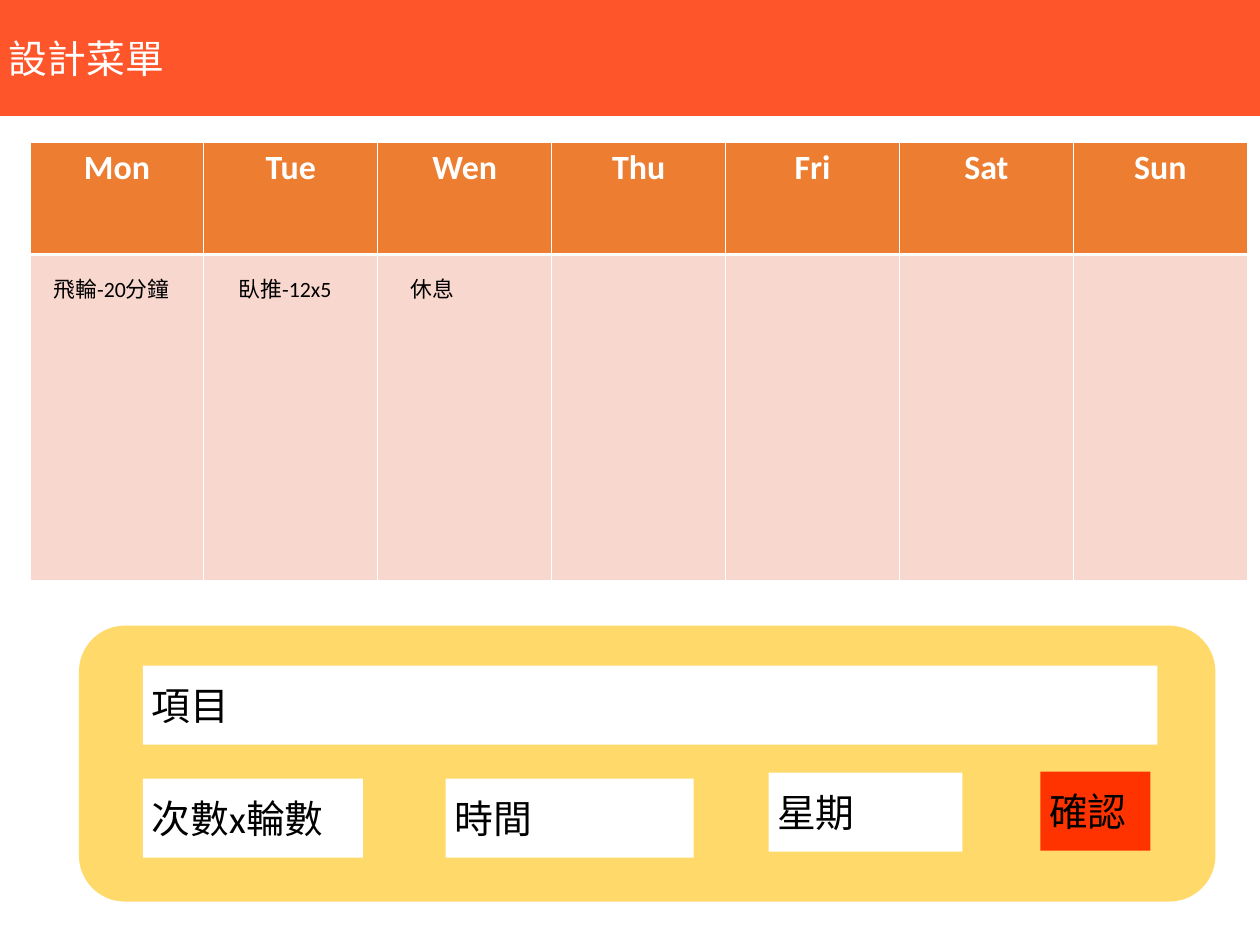
from lxml.etree import SubElement
from pptx import Presentation
from pptx.dml.color import RGBColor
from pptx.enum.shapes import MSO_SHAPE
from pptx.enum.text import MSO_ANCHOR, MSO_AUTO_SIZE, PP_ALIGN
from pptx.oxml.ns import qn
from pptx.util import Inches, Pt

EMU_PER_PX = 914400 / 87.3
FONT = "Calibri"
COLORS = {
    "red": "FF3300",
    "amber": "FFC000",
    "orange": "ED7D31",
    "pink": "F8D7CE",
    "white": "FFFFFF",
    "black": "000000",
}
DAYS = ["Mon", "Tue", "Wen", "Thu", "Fri", "Sat", "Sun"]
DAY_WIDTH = 174
ROW_HEIGHTS = [112, 326]
FIELD_HEIGHT = 79
FIELDS = [
    ("項目", 143, 666, 1015, "white"),
    ("次數x輪數", 143, 779, 220, "white"),
    ("時間", 446, 779, 248, "white"),
    ("星期", 769, 773, 194, "white"),
    ("確認", 1041, 772, 110, "red"),
]
ENTRIES = [("飛輪-20分鐘", 45, 134), ("臥推-12x5", 230, 112), ("休息", 402, 62)]


def px(*lengths):
    """Turn whole pixels into a list of EMU lengths."""
    return [round(length * EMU_PER_PX) for length in lengths]


def rgb(color):
    """Return the named colour."""
    return RGBColor.from_string(COLORS[color])


def paint(part, color, opacity=100):
    """Fill a shape or a cell with a colour, opacity in percent."""
    part.fill.solid()
    part.fill.fore_color.rgb = rgb(color)
    if opacity < 100:
        tint = part.fill._xPr.find(".//" + qn("a:srgbClr"))
        SubElement(tint, qn("a:alpha"), val=str(opacity * 1000))


def write(frame, text, size, color, bold=False, align=PP_ALIGN.LEFT):
    """Write one formatted paragraph into a text frame."""
    paragraph = frame.paragraphs[0]
    paragraph.alignment = align
    run = paragraph.add_run()
    run.text = text
    for key, value in {"name": FONT, "size": Pt(size), "bold": bold}.items():
        setattr(run.font, key, value)
    run.font.color.rgb = rgb(color)


def add_title(slide, text):
    """Turn the title placeholder into the heading bar."""
    heading = slide.shapes.title
    bar = zip(("left", "top", "width", "height"), px(0, 0, 1261, 116))
    for key, value in bar:
        setattr(heading, key, value)
    paint(heading, "red", 83)
    heading.text_frame.vertical_anchor = MSO_ANCHOR.MIDDLE
    heading.text_frame.auto_size = MSO_AUTO_SIZE.NONE
    write(heading.text_frame, text, 32, "white")


def add_panel(slide, kind, box, color, opacity=100):
    """Add a flat shape without line or shadow."""
    panel = slide.shapes.add_shape(kind, *px(*box))
    panel.shadow.inherit = False
    panel.line.fill.background()
    paint(panel, color, opacity)
    return panel


def add_field(slide, label, left, top, width, color):
    """Add a labelled box of the input form."""
    box = (left, top, width, FIELD_HEIGHT)
    field = add_panel(slide, MSO_SHAPE.RECTANGLE, box, color)
    field.text_frame.vertical_anchor = MSO_ANCHOR.MIDDLE
    write(field.text_frame, label, 32, "black")


def add_entry(slide, text, left, width):
    """Add a workout note on the weekly plan."""
    note = slide.shapes.add_textbox(*px(left, 272, width, 35))
    note.text_frame.word_wrap = True
    write(note.text_frame, text, 18, "black")


def add_borders(cell, widths):
    """Give a cell white borders, widths in points by side."""
    properties = cell._tc.get_or_add_tcPr()
    for side, width in widths.items():
        border = SubElement(properties, qn(f"a:ln{side}"), w=str(Pt(width)))
        solid = SubElement(border, qn("a:solidFill"))
        SubElement(solid, qn("a:srgbClr"), val=COLORS["white"])


def add_week(slide):
    """Add the weekly plan with a header and one empty row."""
    size = (DAY_WIDTH * len(DAYS), sum(ROW_HEIGHTS))
    frame = slide.shapes.add_table(
        len(ROW_HEIGHTS), len(DAYS), *px(30, 143, *size))
    week = frame.table
    for row, height in zip(week.rows, px(*ROW_HEIGHTS)):
        row.height = height
    for index, day in enumerate(DAYS):
        week.columns[index].width = px(DAY_WIDTH)[0]
        header, body = week.cell(0, index), week.cell(1, index)
        add_borders(header, {"L": 1, "R": 1, "T": 1, "B": 3})
        add_borders(body, {"L": 1, "R": 1, "T": 3, "B": 1})
        paint(header, "orange")
        paint(body, "pink")
        write(header.text_frame, day, 28, "white", True, PP_ALIGN.CENTER)


def main():
    """Build and save the workout planning slide."""
    deck = Presentation()
    deck.slide_width, deck.slide_height = Inches(14.44), Inches(10.83)
    slide = deck.slides.add_slide(deck.slide_layouts[5])
    add_title(slide, "設計菜單")
    add_week(slide)
    form = (79, 626, 1137, 276)
    add_panel(slide, MSO_SHAPE.ROUNDED_RECTANGLE, form, "amber", 59)
    for field in FIELDS:
        add_field(slide, *field)
    for entry in ENTRIES:
        add_entry(slide, *entry)
    deck.save("out.pptx")


main()
